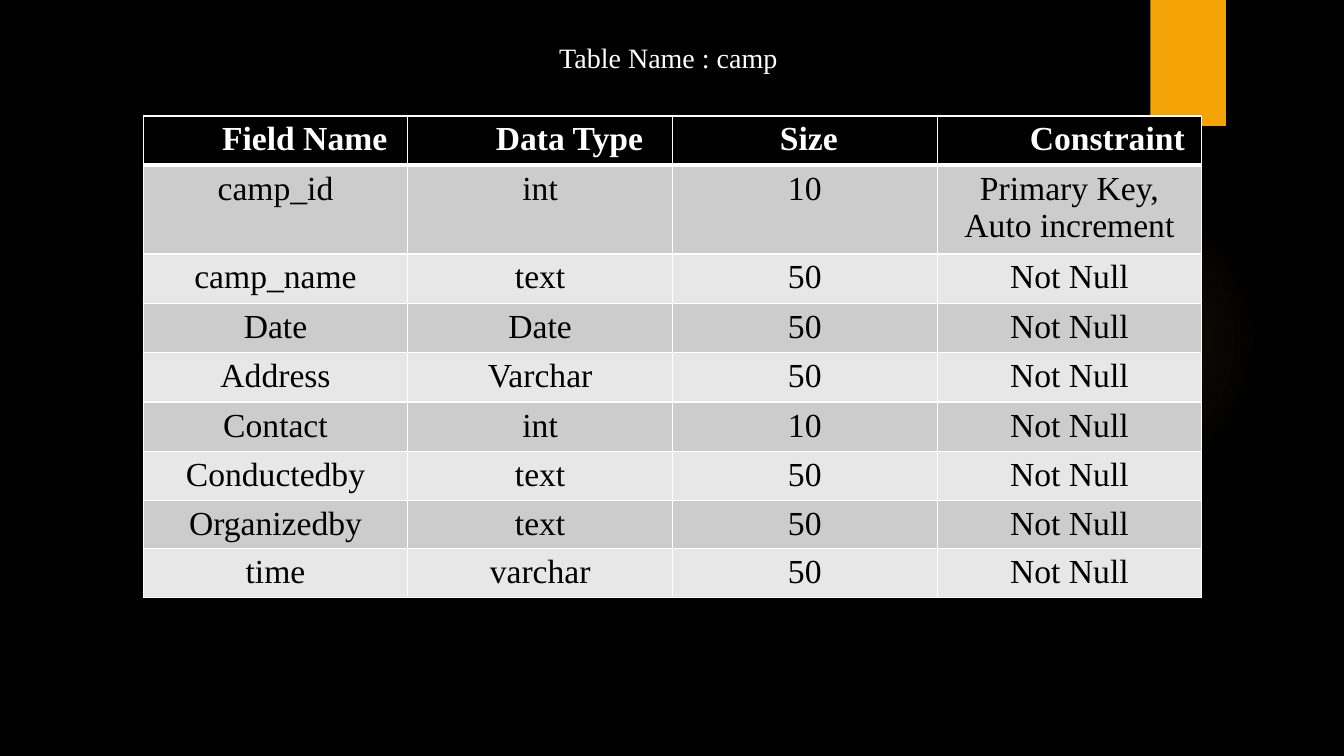
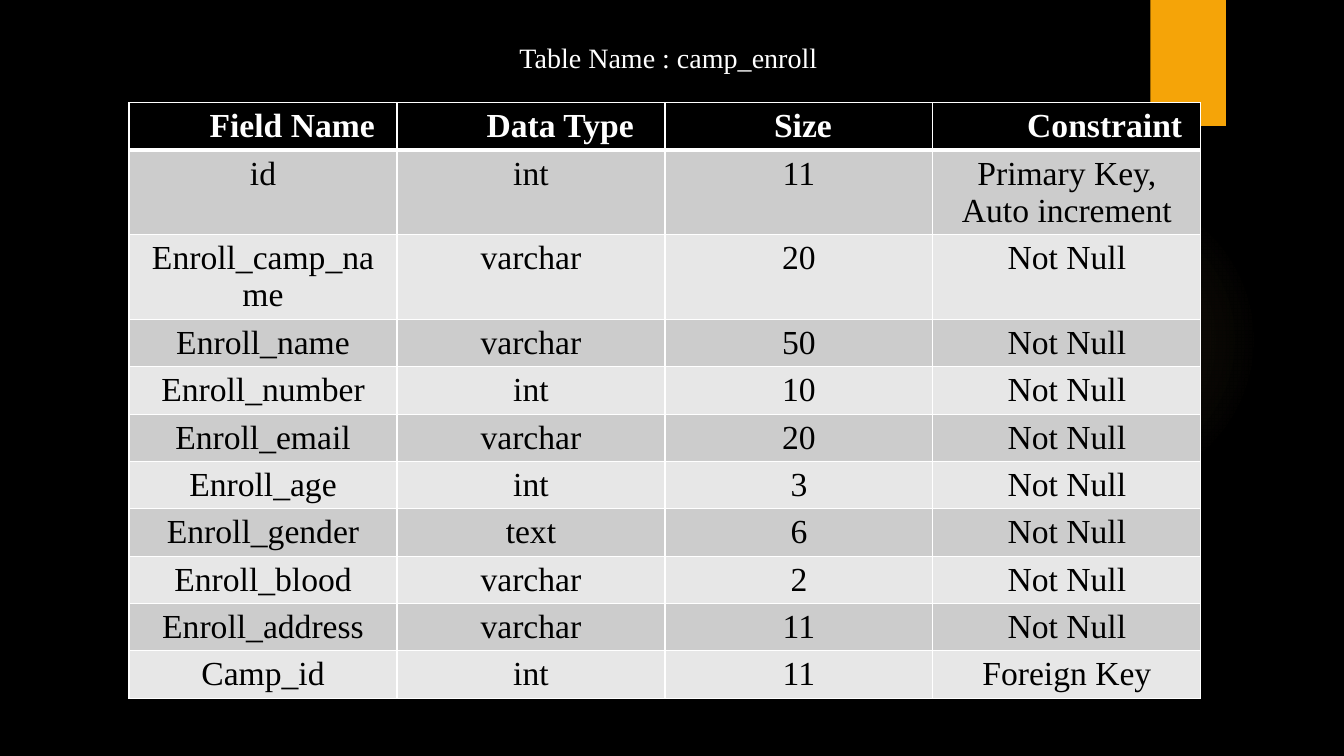
from lxml import etree
from pptx import Presentation
from pptx import util as u
from pptx.dml.color import RGBColor
from pptx.enum import shapes, text
from pptx.oxml import parse_xml
from pptx.oxml.ns import nsdecls, qn

BLACK = RGBColor(0, 0, 0)
WHITE = RGBColor(0xFF, 0xFF, 0xFF)
AMBER = RGBColor(0xF5, 0xA4, 0x08)
GLOW = RGBColor(0xFA, 0xC9, 0x6A)
BANDS = RGBColor(0xCC, 0xCC, 0xCC), RGBColor(0xE7, 0xE7, 0xE7)
FONT = "Times New Roman"
WIDE, HIGH = 13.33, 7.5
PAD = 0.1

# Column heads with the indent that pushes each one to the right
HEADS = [("Field Name", 0.58), ("Data Type", 0.58), ("Size", 0.08), ("Constraint", 0.75)]
KEY = "Primary Key,\nAuto increment"
REST = "Not Null"

CAMP = [
    ("camp_id", "int", "10", KEY),
    ("camp_name", "text", "50", REST),
    ("Date", "Date", "50", REST),
    ("Address", "Varchar", "50", REST),
    ("Contact", "int", "10", REST),
    ("Conductedby", "text", "50", REST),
    ("Organizedby", "text", "50", REST),
    ("time", "varchar", "50", REST),
]
ENROLL = [
    ("id", "int", "11", KEY),
    ("Enroll_camp_name", "varchar", "20", REST),
    ("Enroll_name", "varchar", "50", REST),
    ("Enroll_number", "int", "10", REST),
    ("Enroll_email", "varchar", "20", REST),
    ("Enroll_age", "int", "3", REST),
    ("Enroll_gender", "text", "6", REST),
    ("Enroll_blood", "varchar", "2", REST),
    ("Enroll_address", "varchar", "11", REST),
    ("Camp_id", "int", "11", "Foreign Key"),
]


def place(box):
    return [u.Inches(v) for v in box]


def write(frame, words, size=24, color=BLACK, bold=False):
    frame.text = words
    for para in frame.paragraphs:
        para.alignment = text.PP_ALIGN.CENTER
        font = para.font
        font.name, font.size, font.bold = FONT, u.Pt(size), bold
        font.color.rgb = color


def shade(shape, color, stops):
    """Round gradient fill; stops are (place, opacity) in percent."""
    marks = "".join(
        f'<a:gs pos="{pos * 1000}"><a:srgbClr val="{color}">'
        f'<a:alpha val="{alpha * 1000}"/></a:srgbClr></a:gs>'
        for pos, alpha in stops)
    grad = parse_xml(
        f'<a:gradFill {nsdecls("a")}><a:gsLst>{marks}</a:gsLst><a:path path="circle">'
        '<a:fillToRect l="50000" t="50000" r="50000" b="50000"/></a:path></a:gradFill>')
    shape.element.spPr.find(qn("a:prstGeom")).addnext(grad)


def edge(cell, **widths):
    """White cell borders; keys are L, R, T and B, values are points."""
    props = cell._tc.get_or_add_tcPr()
    for side in "LRTB":
        line = etree.SubElement(props, qn(f"a:ln{side}"), w=str(u.Pt(widths.get(side, 1))))
        fill = etree.SubElement(line, qn("a:solidFill"))
        etree.SubElement(fill, qn("a:srgbClr"), val=str(WHITE))


def dress(master, slide):
    """Put the shared background, glow and ribbon on the master."""
    master.background.fill.solid()
    master.background.fill.fore_color.rgb = BLACK
    kinds = shapes.MSO_SHAPE
    glow = slide.shapes.add_shape(kinds.OVAL, *place((9.41, 1.83, 3.08, 3.08)))
    shade(glow, GLOW, [(0, 7), (36, 6), (69, 0), (100, 0)])
    ribbon = slide.shapes.add_shape(kinds.RECTANGLE, *place((11.41, 0, 0.75, 1.25)))
    ribbon.fill.solid()
    ribbon.fill.fore_color.rgb = AMBER
    for part in (glow, ribbon):
        part.line.fill.background()
        part.shadow.inherit = False
        master.shapes.element.append(part.element)


def head(slide, words):
    title = slide.shapes.title
    title.left, title.top, title.width, title.height = place((0.88, 0.32, 11.5, 0.5))
    title.text_frame.vertical_anchor = text.MSO_ANCHOR.MIDDLE
    write(title.text_frame, words, size=20, color=WHITE)


def grid(slide, rows, box, tall):
    """Field table in a box (left, top, width); tall maps a row to its height."""
    left, top, width = box
    highs = [tall.get(r, tall["each"]) for r in range(len(rows) + 1)]
    table = slide.shapes.add_table(
        len(highs), len(HEADS), *place((left, top, width, sum(highs)))).table
    for col in table.columns:
        col.width = u.Inches(width / len(HEADS))
    for row, high in zip(table.rows, highs):
        row.height = u.Inches(high)

    def fill(r, c, words, back, inset=0, **style):
        cell = table.cell(r, c)
        edge(cell, B=3 if r == 0 else 1, T=3 if r == 1 else 1)
        cell.fill.solid()
        cell.fill.fore_color.rgb = back
        cell.margin_left = u.Inches(PAD + inset)
        write(cell.text_frame, words, **style)

    for c, (words, inset) in enumerate(HEADS):
        fill(0, c, words, BLACK, inset, color=WHITE, bold=True)
    for r, row in enumerate(rows, 1):
        for c, words in enumerate(row):
            fill(r, c, words, BANDS[(r - 1) % 2])


def main():
    deck = Presentation()
    deck.slide_width, deck.slide_height = place((WIDE, HIGH))
    plans = [
        ("camp", CAMP, (1.42, 1.15, 10.5), {"each": 0.49, 1: 0.88, 7: 0.47}),
        ("camp_enroll", ENROLL, (1.28, 1.02, 10.63), {"each": 0.47, 1: 0.84, 2: 0.84}),
    ]
    for name, rows, box, tall in plans:
        slide = deck.slides.add_slide(deck.slide_layouts[5])
        head(slide, f"Table Name : {name}")
        grid(slide, rows, box, tall)
    dress(deck.slide_master, deck.slides[0])
    deck.save("out.pptx")


if __name__ == "__main__":
    main()
